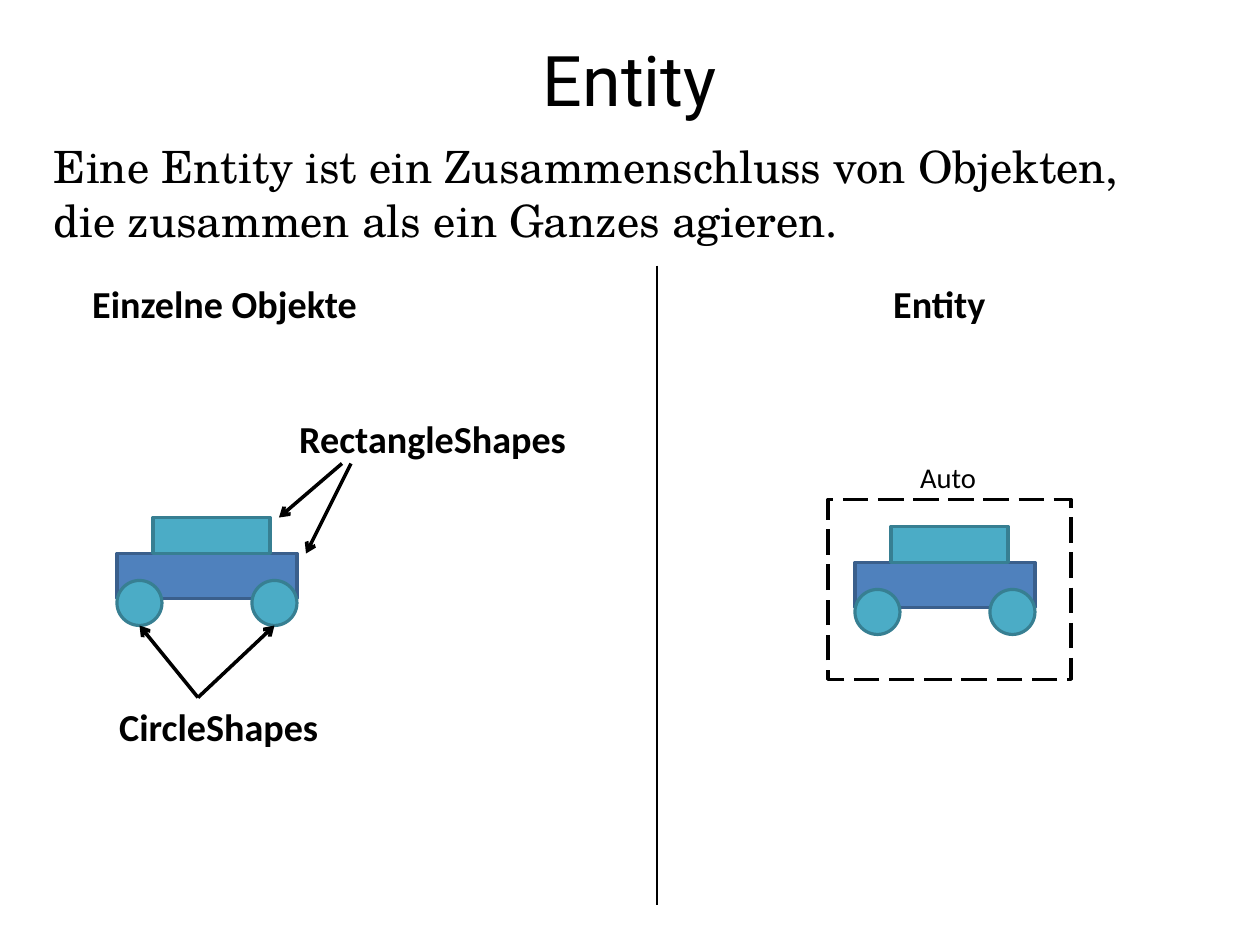
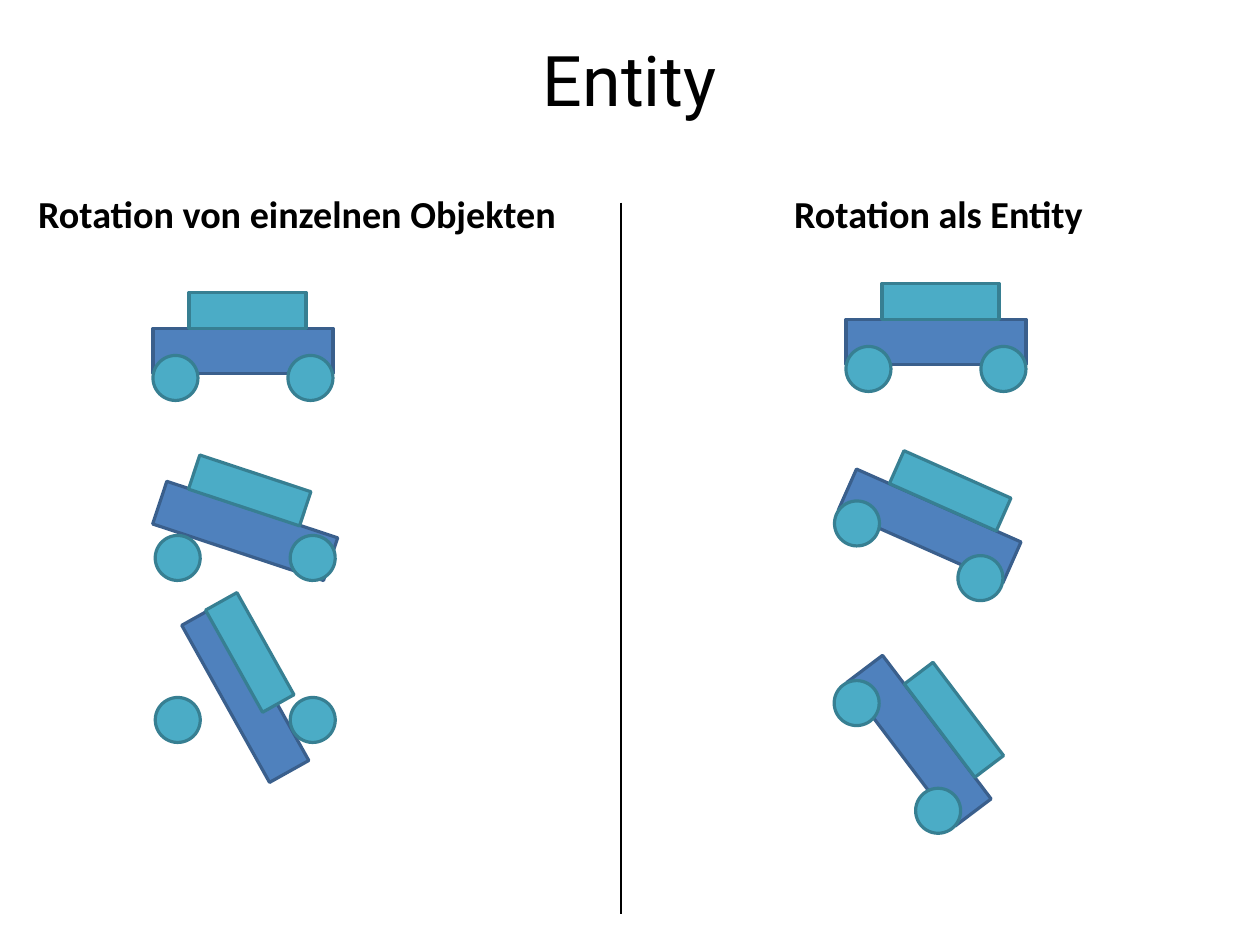
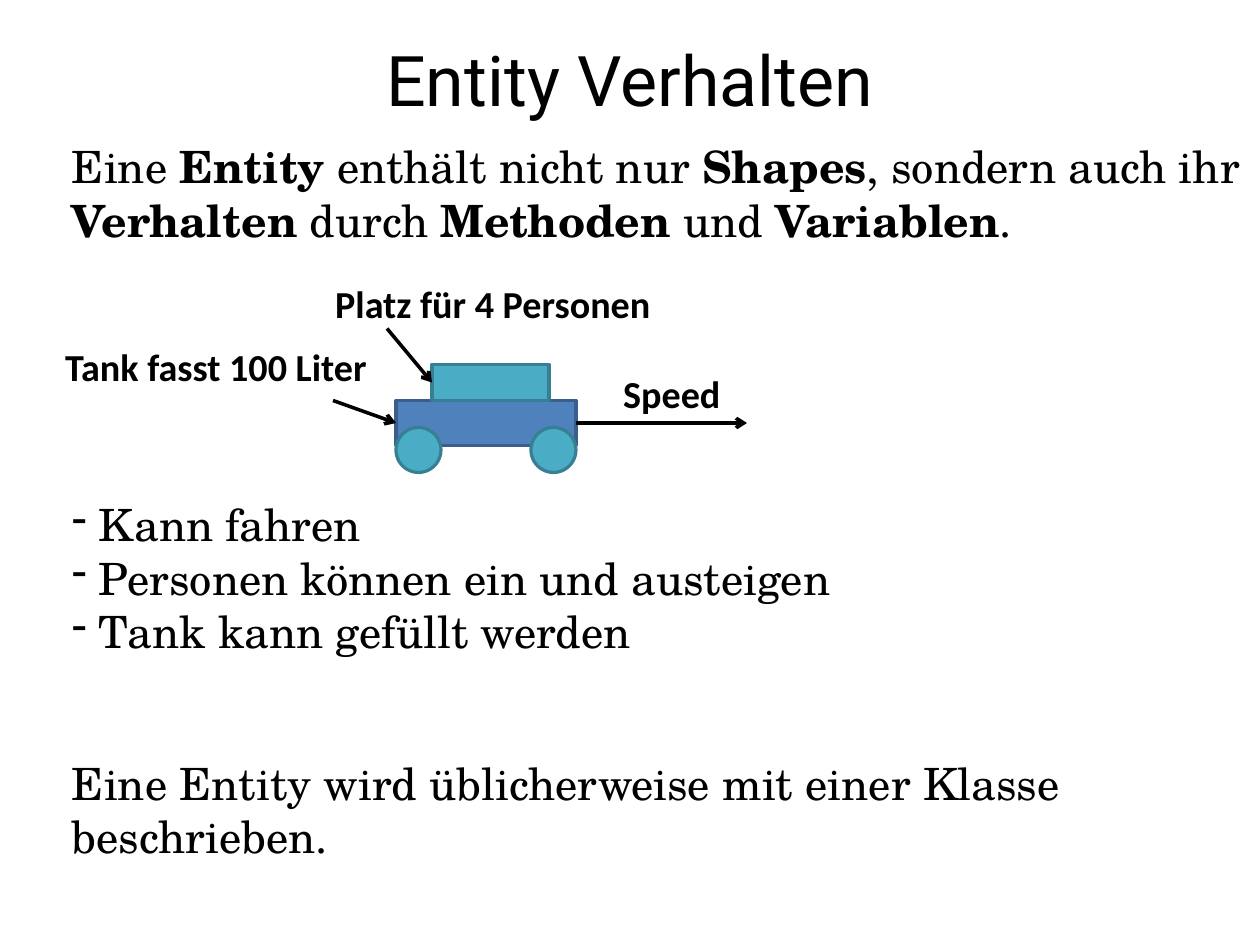
from dataclasses import dataclass

from lxml import etree
from pptx import Presentation
from pptx.dml.color import RGBColor
from pptx.enum import dml, shapes, text
from pptx.oxml.ns import qn
from pptx.util import Cm, Pt


@dataclass(frozen=True)
class Theme:
    black: str = "000000"
    white: str = "FFFFFF"
    body_fill: str = "4F81BD"
    body_line: str = "3A5F8C"
    part_fill: str = "4BACC6"
    part_line: str = "377F92"
    title_font: str = "Roboto"
    prose_font: str = "TeX Gyre Schola"
    label_font: str = "Calibri"
    title_size: int = 44
    prose_size: int = 28
    label_size: int = 24
    caption_size: int = 18
    outline: float = 2
    arrow: float = 2.25
    divider: float = 1.5


THEME = Theme()
RECTANGLE = shapes.MSO_SHAPE.RECTANGLE
OVAL = shapes.MSO_SHAPE.OVAL
LEFT_SIDE, RIGHT_SIDE = 1, 3


def color(value):
    return RGBColor.from_string(value)


def add_bullet(paragraph, character, indent):
    properties = paragraph._p.get_or_add_pPr()
    properties.set("marL", str(Cm(indent)))
    properties.set("indent", str(-Cm(indent)))
    etree.SubElement(properties, qn("a:buChar")).set("char", character)


def add_text(slide, content, box, *, font, size, bold=False, wrap=True, inset=(0, 0),
             align=text.PP_ALIGN.LEFT, anchor=text.MSO_ANCHOR.TOP, bullet=None):
    """Lines become paragraphs; words between ** marks are bold."""
    shape = slide.shapes.add_textbox(*map(Cm, box))
    frame = shape.text_frame
    frame.word_wrap = wrap
    frame.auto_size = text.MSO_AUTO_SIZE.NONE if wrap else text.MSO_AUTO_SIZE.SHAPE_TO_FIT_TEXT
    frame.vertical_anchor = anchor
    frame.margin_left = frame.margin_right = Cm(inset[0])
    frame.margin_top = frame.margin_bottom = Cm(inset[1])
    for index, line in enumerate(content.split("\n")):
        paragraph = frame.add_paragraph() if index else frame.paragraphs[0]
        paragraph.alignment = align
        if bullet:
            add_bullet(paragraph, bullet, 0.6)
        for part, words in enumerate(line.split("**")):
            run = paragraph.add_run()
            run.text = words
            run.font.name = font
            run.font.size = Pt(size)
            run.font.bold = bold or part % 2 == 1
            run.font.color.rgb = color(THEME.black)
    return shape


def add_title(slide, content):
    add_text(slide, content, (1.4, 0, 25.2, 3.5), font=THEME.title_font, size=THEME.title_size,
             align=text.PP_ALIGN.CENTER, anchor=text.MSO_ANCHOR.MIDDLE)


def add_prose(slide, content, left, top, width, height, **options):
    add_text(slide, content, (left, top, width, height),
             font=THEME.prose_font, size=THEME.prose_size, **options)


def add_label(slide, content, left, top, width, size=THEME.label_size, bold=True):
    add_text(slide, content, (left, top, width, 1.27 if bold else 1.02), font=THEME.label_font,
             size=size, bold=bold, wrap=False, inset=(0.25, 0.13))


def add_block(container, kind, box, fill, line, rotation=0):
    shape = container.add_shape(kind, *map(Cm, box))
    shape.shadow.inherit = False
    shape.fill.solid()
    shape.fill.fore_color.rgb = color(fill)
    shape.line.color.rgb = color(line)
    shape.line.width = Pt(THEME.outline)
    shape.rotation = rotation
    return shape


def add_car(slide, left, top, *, grouped=False, rotation=0):
    """Turn a grouped car as a whole, a loose one part by part; return body and roof."""
    group = slide.shapes.add_group_shape() if grouped else None
    container = group.shapes if grouped else slide.shapes
    turn = 0 if grouped else rotation
    body = add_block(container, RECTANGLE, (left, top, 4, 1),
                     THEME.body_fill, THEME.body_line, turn)
    for offset in (0, 3):
        add_block(container, OVAL, (left + offset, top + 0.6, 1, 1),
                  THEME.part_fill, THEME.part_line, turn)
    roof = add_block(container, RECTANGLE, (left + 0.8, top - 0.8, 2.6, 0.8),
                     THEME.part_fill, THEME.part_line, turn)
    if grouped:
        group.rotation = rotation
    return body, roof


def add_line(slide, start, end, width=THEME.divider, arrow=False):
    connector = slide.shapes.add_connector(shapes.MSO_CONNECTOR.STRAIGHT,
                                           *map(Cm, (*start, *end)))
    connector.line.color.rgb = color(THEME.black)
    connector.line.width = Pt(width)
    if arrow:
        etree.SubElement(connector.line._get_or_add_ln(), qn("a:tailEnd")).set("type", "arrow")
    etree.SubElement(connector._element.spPr, qn("a:effectLst"))
    return connector


def add_arrow(slide, start, end):
    return add_line(slide, start, end, THEME.arrow, arrow=True)


def build_definition(slide):
    add_title(slide, "Entity")
    add_prose(slide, "Eine Entity ist ein Zusammenschluss von Objekten, "
              "die zusammen als ein Ganzes agieren.", 1.2, 3.1, 24.5, 2.4)
    add_line(slide, (14.6, 5.9), (14.6, 20.1))

    add_label(slide, "Einzelne Objekte", 1.8, 6.1, 6.45)
    add_car(slide, 2.6, 12.3)
    for start, end in (((4.4, 15.5), (3.1, 13.9)), ((4.4, 15.5), (6.1, 13.9)),
                       ((7.6, 10.3), (6.2, 11.5)), ((7.8, 10.3), (6.8, 12.3))):
        add_arrow(slide, start, end)
    add_label(slide, "RectangleShapes", 6.4, 9.1, 6.5)
    add_label(slide, "CircleShapes", 2.4, 15.5, 4.98)

    add_label(slide, "Entity", 19.6, 6.1, 2.6)
    frame = add_block(slide.shapes, RECTANGLE, (18.4, 11.1, 5.4, 4), THEME.white, THEME.black)
    frame.line.dash_style = dml.MSO_LINE.LONG_DASH
    add_label(slide, "Auto", 20.2, 10.1, 1.78, size=THEME.caption_size, bold=False)
    add_car(slide, 19, 12.5)


def build_rotation(slide):
    add_title(slide, "Entity")
    add_label(slide, "Rotation von einzelnen Objekten", 0.6, 4.1, 12.15)
    add_label(slide, "Rotation als Entity", 17.4, 4.1, 7)
    add_line(slide, (13.8, 4.5), (13.8, 20.3))
    for left, top, rotation in ((3.4, 7.3, 0), (3.45, 11.3, 18.3), (3.45, 14.9, 60.8)):
        add_car(slide, left, top, rotation=rotation)
    for left, top, rotation in ((18.8, 7.1, 0), (18.7, 11.2, 23.9), (18.5, 16, 52.9)):
        add_car(slide, left, top, grouped=True, rotation=rotation)


def build_behaviour(slide):
    add_title(slide, "Entity Verhalten")
    add_prose(slide, "Eine **Entity** enthält nicht nur **Shapes**, sondern auch ihr "
              "**Verhalten** durch **Methoden** und **Variablen**.", 1.6, 3.1, 26.1, 2.4)
    body, roof = add_car(slide, 8.8, 8.9, grouped=True)
    add_arrow(slide, (12.8, 9.4), (16.6, 9.4)).begin_connect(body, RIGHT_SIDE)
    add_arrow(slide, (8.6, 7.3), (9.6, 8.5)).end_connect(roof, LEFT_SIDE)
    add_arrow(slide, (7.4, 8.9), (8.8, 9.4)).end_connect(body, LEFT_SIDE)
    add_label(slide, "Speed", 13.6, 8.1, 2.7)
    add_label(slide, "Platz für 4 Personen", 7.2, 6.1, 7.6)
    add_label(slide, "Tank fasst 100 Liter", 1.2, 7.5, 7.3)
    add_prose(slide, "Kann fahren\nPersonen können ein und austeigen\nTank kann gefüllt werden",
              1.6, 11.05, 26, 3.6, bullet="-")
    add_prose(slide, "Eine Entity wird üblicherweise mit einer Klasse beschrieben.",
              1.6, 16.8, 26, 2.4)


def main():
    presentation = Presentation()
    presentation.slide_width, presentation.slide_height = Cm(28), Cm(21)
    blank = presentation.slide_layouts[6]
    for build in (build_definition, build_rotation, build_behaviour):
        build(presentation.slides.add_slide(blank))
    presentation.save("out.pptx")


if __name__ == "__main__":
    main()
